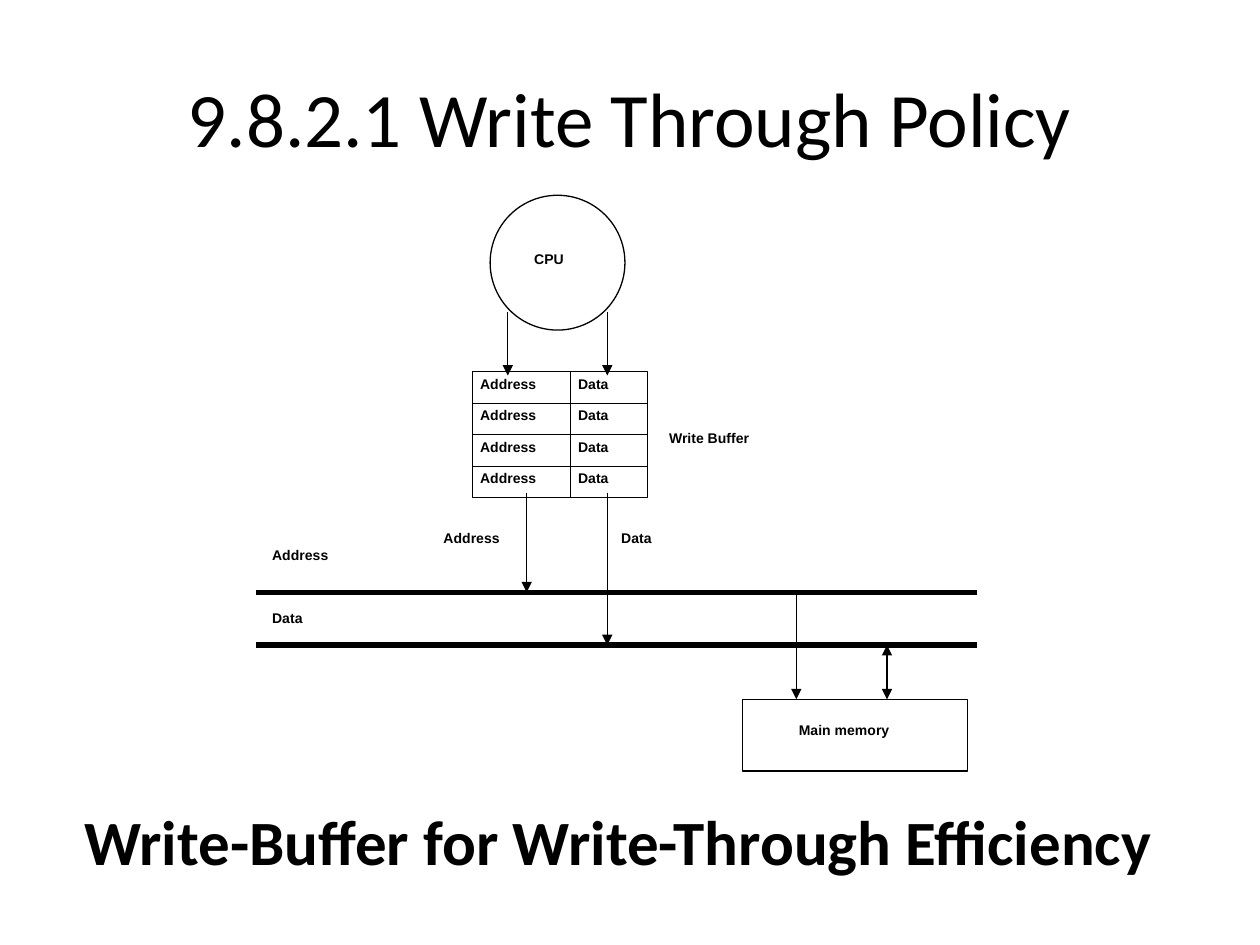
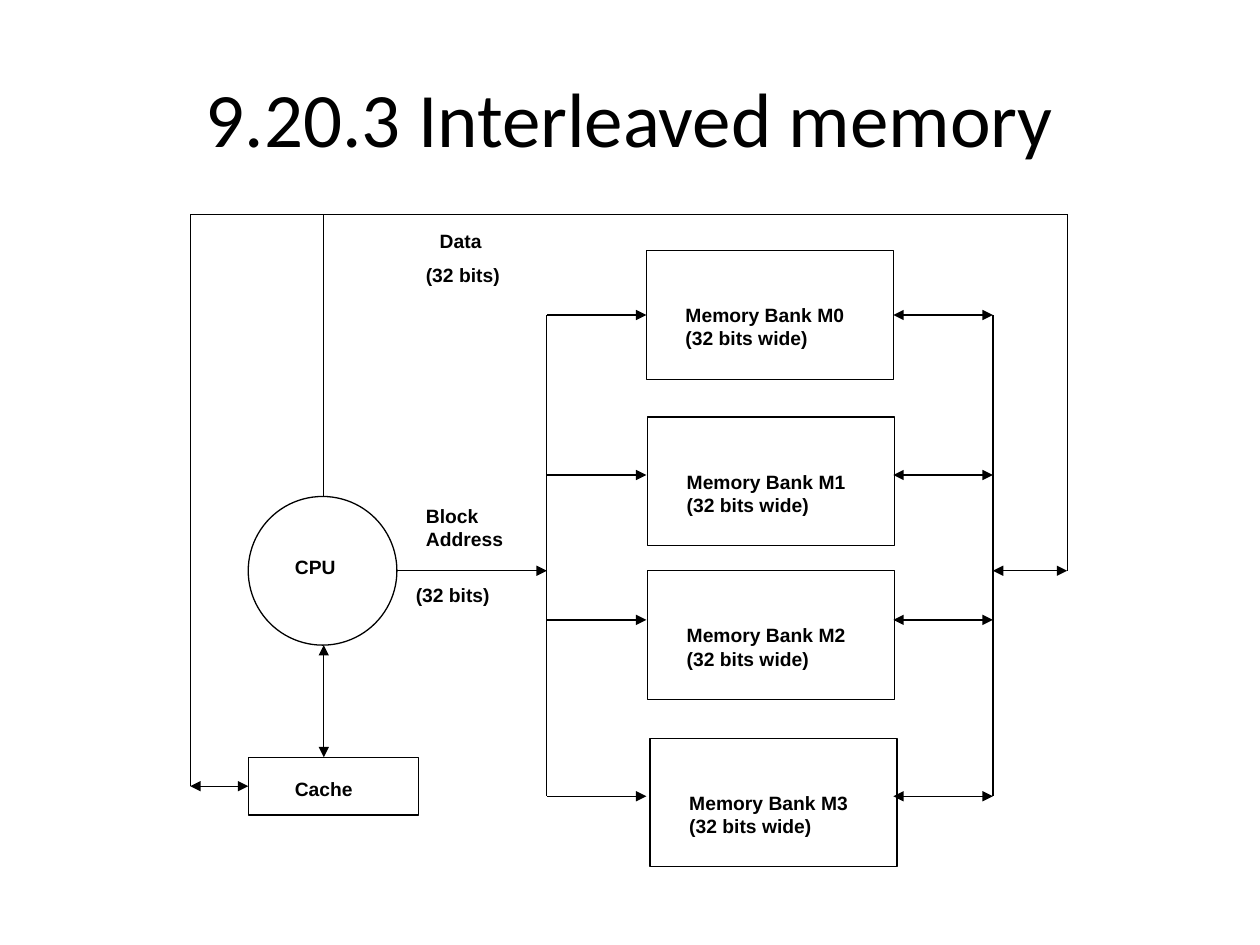
from lxml.etree import SubElement
from pptx import Presentation
from pptx.dml.color import RGBColor
from pptx.enum.shapes import MSO_CONNECTOR, MSO_SHAPE
from pptx.enum.text import MSO_ANCHOR, PP_ALIGN
from pptx.oxml.ns import qn
from pptx.util import Inches, Pt

COLORS = {"ink": "000000", "paper": "FFFFFF"}
INK = RGBColor.from_string(COLORS["ink"])
SMALL, LARGE = 8, 11


def style(para, size, font="Arial", bold=True):
    para.font.name = font
    para.font.size = Pt(size)
    para.font.bold = bold
    para.font.color.rgb = INK


def write(frame, text, size, inset=0.06):
    """Fill a top-left aligned frame, one paragraph per line of text."""
    frame.word_wrap = True
    frame.vertical_anchor = MSO_ANCHOR.TOP
    frame.margin_left = frame.margin_right = Inches(inset)
    frame.margin_top = frame.margin_bottom = Inches(0.03)
    frame.text = text
    for para in frame.paragraphs:
        para.alignment = PP_ALIGN.LEFT
        style(para, size)


def label(slide, text, x, y, w, h, size):
    box = slide.shapes.add_textbox(Inches(x), Inches(y), Inches(w), Inches(h))
    write(box.text_frame, text, size, 0.06 if size == SMALL else 0.05)


def outline(slide, x, y, w, h, kind=MSO_SHAPE.RECTANGLE):
    shape = slide.shapes.add_shape(kind, Inches(x), Inches(y), Inches(w), Inches(h))
    shape.shadow.inherit = False
    shape.fill.background()
    shape.line.color.rgb = INK
    shape.line.width = Pt(0.75)
    return shape


def wire(slide, x1, y1, x2, y2, ends="", width=0.75):
    """Draw a line; ends names the arrowheads: "tail", "head tail" or none."""
    line = slide.shapes.add_connector(
        MSO_CONNECTOR.STRAIGHT, Inches(x1), Inches(y1), Inches(x2), Inches(y2))
    line.line.color.rgb = INK
    line.line.width = Pt(width)
    for end in ends.split():
        SubElement(line.line._get_or_add_ln(), qn(f"a:{end}End"), type="triangle")
    SubElement(line._element.spPr, qn("a:effectLst"))
    return line


def start(deck, title):
    slide = deck.slides.add_slide(deck.slide_layouts[5])
    fill = slide.background.fill
    fill.solid()
    fill.fore_color.rgb = RGBColor.from_string(COLORS["paper"])
    head = slide.shapes.title
    head.left, head.top = Inches(0.5), Inches(0.3)
    head.width, head.height = Inches(9), Inches(1.25)
    head.text_frame.text = title
    head.text_frame.vertical_anchor = MSO_ANCHOR.MIDDLE
    para = head.text_frame.paragraphs[0]
    para.alignment = PP_ALIGN.CENTER
    style(para, 44, "Calibri", False)
    return slide


def caption(slide, text, x, y, w, h):
    box = slide.shapes.add_textbox(Inches(x), Inches(y), Inches(w), Inches(h))
    box.text_frame.word_wrap = False
    box.text_frame.text = text
    style(box.text_frame.paragraphs[0], 36, "Calibri")


def cpu(slide, x, y, side, dx, dy, size):
    """Draw the processor circle, its label dx, dy from the corner."""
    outline(slide, x, y, side, side, MSO_SHAPE.OVAL)
    label(slide, "CPU", x + dx, y + dy, 0.52, 0.26, size)


def buffer(slide, x, y, w, h, rows=4):
    split, step = 0.56 * w, h / rows
    for row in range(rows):
        top = y + row * step
        for text, left, wide in (("Address", x, split), ("Data", x + split, w - split)):
            cell = outline(slide, left, top, wide, step)
            write(cell.text_frame, text, SMALL)
    for dx in (0.28, 1.07):
        wire(slide, x + dx, y - 0.47, x + dx, y + 0.03, "tail")
    label(slide, "Write Buffer", x + w + 0.11, y + 0.43, 1.02, 0.24, SMALL)


def bus(slide, x, y, w, h):
    """Draw the two bus lines and what the buffer sends down to them."""
    for rail in (y, y + h):
        wire(slide, x, rail, x + w, rail, width=3)
    for dx, end in ((2.15, y), (2.79, y + h)):
        wire(slide, x + dx, y - 0.79, x + dx, end, "tail")
    for text, dx, dy in (("Address", 1.43, -0.53), ("Data", 2.84, -0.53),
                         ("Address", 0.07, -0.39), ("Data", 0.07, 0.11)):
        label(slide, text, x + dx, y + dy, 0.85, 0.24, SMALL)


def memory(slide, x, y, w, h):
    outline(slide, x, y, w, h)
    label(slide, "Main memory", x + 0.39, y + 0.15, 1.08, 0.24, SMALL)
    wire(slide, x + 0.43, y - 0.85, x + 0.43, y, "tail")
    wire(slide, x + 1.15, y - 0.43, x + 1.15, y, "head tail")


def banks(slide, x, y, w, h):
    """Draw the banks between the address rail and the data rail."""
    for rail in (x, x + w):
        wire(slide, rail, y, rail, y + h)
    gap, wide, tall = 0.79, 1.96, 1.02
    # Per bank: shift to the right, top, and height of its two arrows
    places = ((0, -0.51, 0), (0.01, 0.81, 1.27), (0.01, 2.03, 2.42), (0.03, 3.36, 3.82))
    for num, (shift, top, port) in enumerate(places):
        left = x + gap + shift
        bank = outline(slide, left, y + top, wide, tall)
        label(slide, f"Memory Bank M{num}\n(32 bits wide)",
              left + 0.26, y + top + 0.39, 1.45, 0.44, LARGE)
        entry = wire(slide, x, y + port, x + gap, y + port, "tail")
        leave = wire(slide, x + w, y + port, x + w - gap, y + port, "head tail")
        if port == top + tall / 2:
            entry.end_connect(bank, 1)
            leave.end_connect(bank, 3)


def cache(slide, x, y, w, h, rail):
    """Draw the cache, joined to the vertical data line at rail."""
    box = outline(slide, x, y, w, h)
    label(slide, "Cache", x + 0.32, y + 0.13, 0.7, 0.26, LARGE)
    wire(slide, rail, y + h / 2, x, y + h / 2, "head tail").end_connect(box, 1)
    wire(slide, x + 0.6, y - 0.89, x + 0.6, y, "head tail")


def loop(slide, x, y, w, h):
    """Draw the data path round the diagram."""
    wire(slide, x, y, x + w, y)
    wire(slide, x, y, x, y + h)
    wire(slide, x + 1.06, y + 2.24, x + 1.06, y)
    wire(slide, x + w, y, x + w, y + 2.83)
    wire(slide, x + w, y + 2.83, x + w - 0.59, y + 2.83, "head tail")
    label(slide, "Data", x + 1.93, y + 0.09, 0.57, 0.26, LARGE)
    label(slide, "(32 bits)", x + 1.82, y + 0.36, 0.83, 0.26, LARGE)


def request(slide, x, y, w):
    """Draw the block address arrow with its labels."""
    wire(slide, x, y, x + w, y, "tail")
    label(slide, "Block\nAddress", x + 0.18, y - 0.56, 1.01, 0.44, LARGE)
    label(slide, "(32 bits)", x + 0.1, y + 0.07, 0.83, 0.26, LARGE)


def policy(deck):
    slide = start(deck, "9.8.2.1 Write Through Policy")
    caption(slide, "Write-Buffer for Write-Through Efficiency", 0.57, 6.32, 8.85, 0.71)
    cpu(slide, 3.89, 1.55, 1.07, 0.29, 0.41, SMALL)
    memory(slide, 5.89, 5.55, 1.79, 0.57)
    bus(slide, 2.03, 4.7, 5.72, 0.42)
    buffer(slide, 3.75, 2.95, 1.39, 1)


def interleave(deck):
    slide = start(deck, "9.20.3 Interleaved memory")
    cpu(slide, 1.97, 3.94, 1.18, 0.32, 0.44, LARGE)
    banks(slide, 4.34, 2.5, 3.54, 3.82)
    request(slide, 3.15, 4.53, 1.19)
    loop(slide, 1.51, 1.7, 6.96, 4.54)
    cache(slide, 1.97, 6.01, 1.35, 0.46, 1.51)


def main():
    deck = Presentation()
    deck.slide_width, deck.slide_height = Inches(10), Inches(7.5)
    policy(deck)
    interleave(deck)
    deck.save("out.pptx")


if __name__ == "__main__":
    main()
